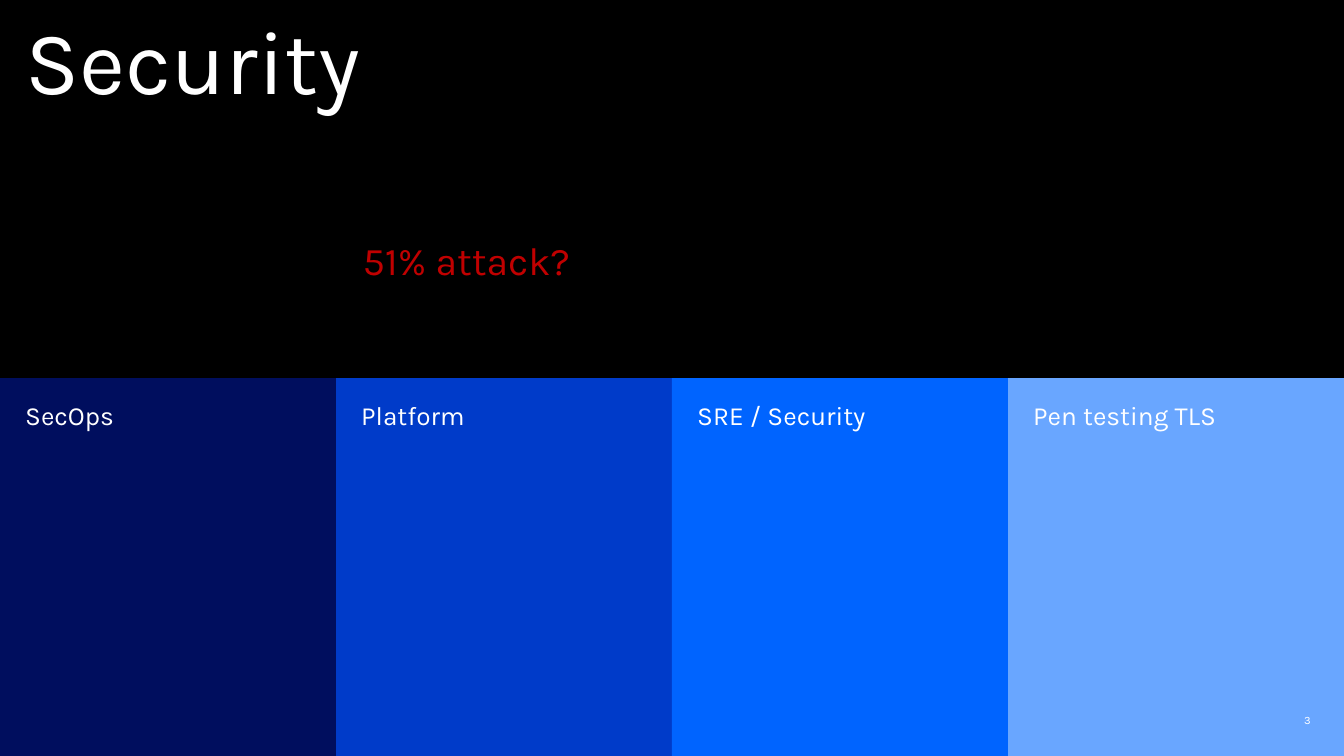
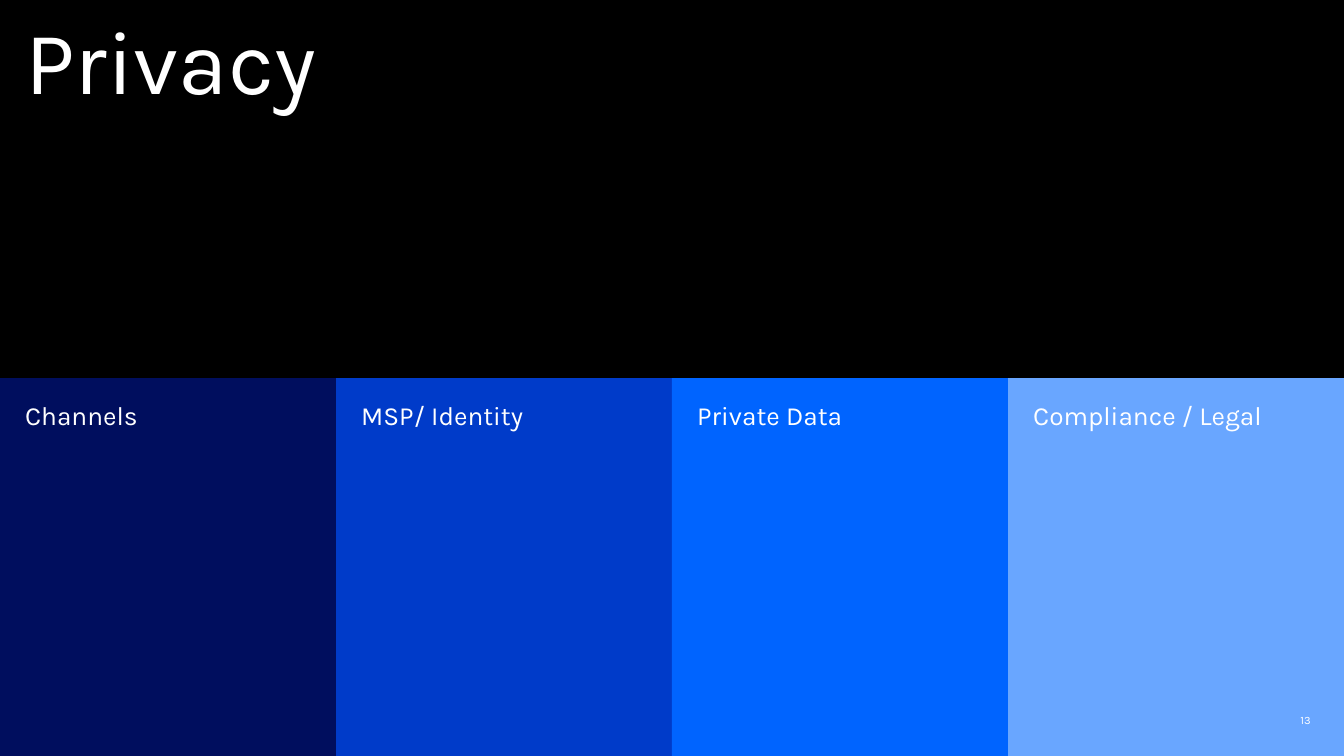
from lxml.etree import SubElement
from pptx import Presentation
from pptx.dml.color import RGBColor
from pptx.enum.text import MSO_ANCHOR, MSO_AUTO_SIZE, PP_ALIGN
from pptx.oxml.ns import qn
from pptx.util import Inches, Pt

WIDTH, HEIGHT = 13.33, 7.5
BAND = HEIGHT / 2
FONT = "Karla"
COLOURS = {
    "black": "000000",
    "white": "FFFFFF",
    "red": "C00000",
    "navy": "000E5E",
    "royal": "003BC9",
    "blue": "0064FF",
    "sky": "69A6FF",
}
COLUMN_COLOURS = ("navy", "royal", "blue", "sky")


class TopicDeck:
    """Holds the shared style and the current slide."""

    def __init__(self):
        self.deck = Presentation()
        self.deck.slide_width = Inches(WIDTH)
        self.deck.slide_height = Inches(HEIGHT)
        self.page = None

    def colour(self, name):
        return RGBColor.from_string(COLOURS[name])

    def fill(self, target, name):
        target.fill.solid()
        target.fill.fore_color.rgb = self.colour(name)

    def place(self, box, left, top, width, height):
        box.left, box.top = Inches(left), Inches(top)
        box.width, box.height = Inches(width), Inches(height)

    def set_text(self, box, text, size, colour="white", align=PP_ALIGN.LEFT,
                 anchor=MSO_ANCHOR.TOP, insets=None):
        frame = box.text_frame
        frame.text = text
        frame.word_wrap = True
        frame.auto_size = MSO_AUTO_SIZE.NONE
        frame.vertical_anchor = anchor
        if insets:
            (frame.margin_left, frame.margin_top, frame.margin_right,
             frame.margin_bottom) = map(Inches, insets)
        para = frame.paragraphs[0]
        para.alignment = align
        for span in para.runs:
            span.font.name = FONT
            span.font.size = Pt(size)
            span.font.bold = False
            span.font.color.rgb = self.colour(colour)
        return para

    def add_page(self, title, topics, number):
        # The comparison layout offers a title and four text placeholders
        self.page = self.deck.slides.add_slide(self.deck.slide_layouts[4])
        self.fill(self.page.background, "navy")
        self.title(title)
        self.columns(topics)
        self.page_number(number)

    def title(self, text):
        box = self.page.shapes.title
        self.place(box, 0, 0, WIDTH, BAND)
        self.fill(box, "black")
        para = self.set_text(box, text, 64, insets=(0.25, 0.17, 0.25, 0.25))
        para.line_spacing = 0.9

    def columns(self, topics):
        width = WIDTH / len(topics)
        boxes = list(self.page.placeholders)[1:]
        for index, (box, topic, colour) in enumerate(
                zip(boxes, topics, COLUMN_COLOURS)):
            self.place(box, index * width, BAND, width, HEIGHT - BAND)
            self.fill(box, colour)
            para = self.set_text(box, topic, 18.7,
                                 insets=(0.25, 0.21, 0.25, 0.25))
            para.space_before = Pt(0)
            # Remove the bullet and its indent
            properties = para._p.get_or_add_pPr()
            properties.set("marL", "0")
            properties.set("indent", "0")
            SubElement(properties, qn("a:buNone"))

    def text_box(self, text, left, top, width, height, size, **style):
        box = self.page.shapes.add_textbox(
            Inches(left), Inches(top), Inches(width), Inches(height))
        self.set_text(box, text, size, **style)

    def page_number(self, number):
        self.text_box(str(number), 10, 7.04, 3, 0.2, 8, align=PP_ALIGN.RIGHT,
                      anchor=MSO_ANCHOR.MIDDLE, insets=(0, 0, 0, 0))


def main():
    topics = TopicDeck()

    # Security
    topics.add_page(
        "Security", ("SecOps", "Platform", "SRE / Security", "Pen testing TLS"), 3)
    topics.text_box("51% attack?", 3.5, 2.3, 4.58, 0.57, 28, colour="red")

    # Privacy
    topics.add_page(
        "Privacy",
        ("Channels", "MSP/ Identity", "Private Data", "Compliance / Legal"), 13)

    topics.deck.save("out.pptx")


if __name__ == "__main__":
    main()
